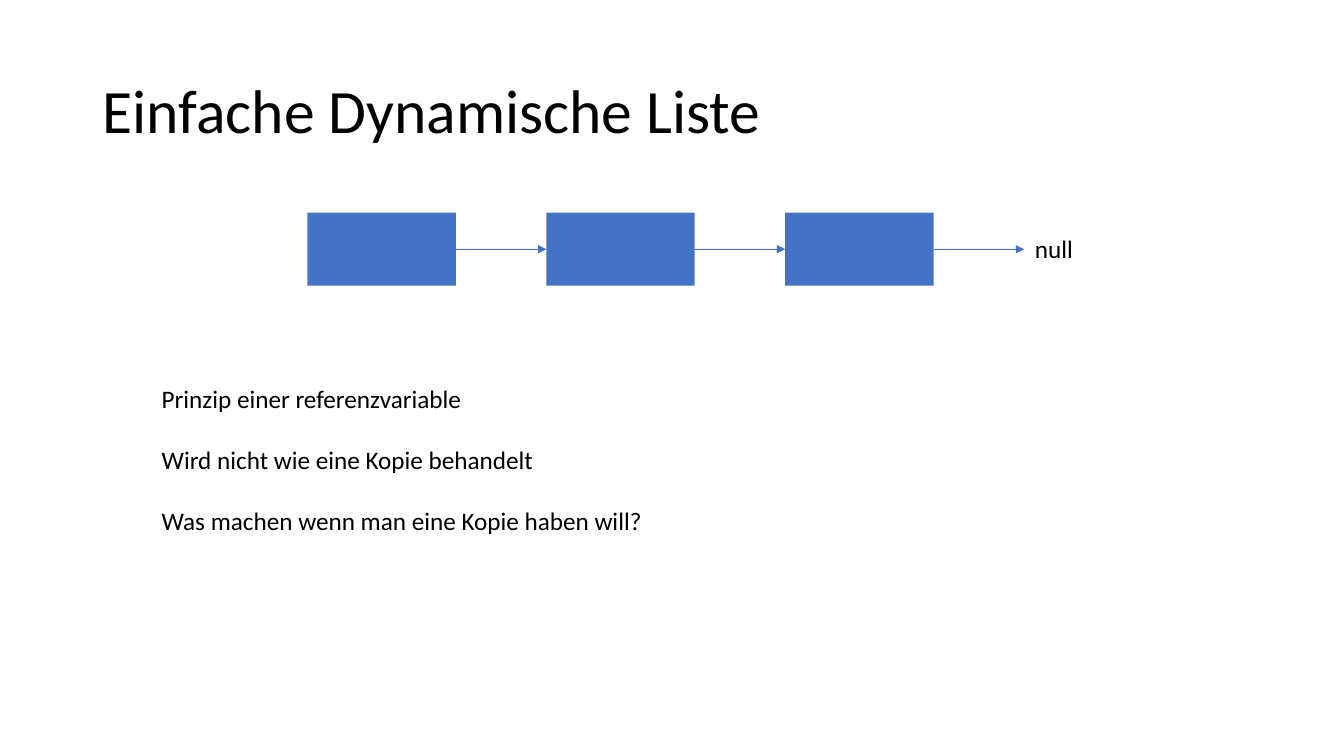
from lxml.etree import SubElement
from pptx import Presentation
from pptx.dml.color import RGBColor
from pptx.enum.shapes import MSO_CONNECTOR, MSO_SHAPE
from pptx.enum.text import MSO_ANCHOR, MSO_AUTO_SIZE, PP_ALIGN
from pptx.oxml.ns import qn
from pptx.util import Cm, Pt

BLUE = RGBColor(0x44, 0x72, 0xC4)
BLACK = RGBColor(0, 0, 0)
RIGHT_SITE, LEFT_SITE = 3, 1


class ListSlide:
    font_name = "Calibri"

    def __init__(self, slide):
        self.slide = slide

    def place(self, shape, left, top, width, height):
        shape.left, shape.top = Cm(left), Cm(top)
        shape.width, shape.height = Cm(width), Cm(height)

    def add_text(self, paragraph, text, size):
        paragraph.alignment = PP_ALIGN.LEFT
        run = paragraph.add_run()
        run.text = text
        run.font.name = self.font_name
        run.font.size = Pt(size)
        run.font.color.rgb = BLACK

    def title(self, text, *box):
        heading = self.slide.shapes.title
        self.place(heading, *box)
        frame = heading.text_frame
        frame.auto_size = MSO_AUTO_SIZE.NONE
        frame.vertical_anchor = MSO_ANCHOR.MIDDLE
        frame.paragraphs[0].line_spacing = 0.9
        self.add_text(frame.paragraphs[0], text, 44)

    def statements(self, lines, gap, *box):
        body = self.slide.placeholders[1]
        self.place(body, *box)
        frame = body.text_frame
        frame.auto_size = MSO_AUTO_SIZE.NONE
        frame.word_wrap = False
        for index, line in enumerate(lines):
            paragraph = frame.add_paragraph() if index else frame.paragraphs[0]
            paragraph.space_before = Pt(gap if index else 0)
            self.add_text(paragraph, line, 18)
            properties = paragraph._p.get_or_add_pPr()
            properties.set("marL", "0")
            properties.set("indent", "0")
            SubElement(properties, qn("a:buNone"))

    def label(self, text, *box):
        frame = self.slide.shapes.add_textbox(*map(Cm, box)).text_frame
        frame.word_wrap = False
        self.add_text(frame.paragraphs[0], text, 18)

    def node(self, *box):
        element = self.slide.shapes.add_shape(MSO_SHAPE.RECTANGLE, *map(Cm, box))
        element.shadow.inherit = False
        element.fill.solid()
        element.fill.fore_color.rgb = BLUE
        element.line.fill.background()
        return element

    def arrow(self, source, end_x, y, target=None):
        link = self.slide.shapes.add_connector(
            MSO_CONNECTOR.STRAIGHT, Cm(end_x), Cm(y), Cm(end_x), Cm(y))
        link.begin_connect(source, RIGHT_SITE)
        if target is not None:
            link.end_connect(target, LEFT_SITE)
        link.line.color.rgb = BLUE
        link.line.width = Pt(0.5)
        SubElement(link.line._get_or_add_ln(), qn("a:tailEnd"), type="triangle")
        SubElement(link._element.spPr, qn("a:effectLst"))


presentation = Presentation()
presentation.slide_width, presentation.slide_height = Cm(33.87), Cm(19.05)
page = ListSlide(presentation.slides.add_slide(presentation.slide_layouts[1]))

# Title
page.title("Einfache Dynamische Liste", 2.33, 1.01, 29.21, 3.68)

# Linked list nodes
first_left, node_top, node_width, node_height, pitch = 7.75, 5.36, 3.74, 1.84, 6.02
node_lefts = [first_left + index * pitch for index in range(3)]
nodes = [page.node(left, node_top, node_width, node_height) for left in node_lefts]

# Arrows to each next node, the last one to null
middle = node_top + node_height / 2
for node, left, successor in zip(nodes, node_lefts, nodes[1:] + [None]):
    page.arrow(node, left + pitch, middle, successor)
page.label("null", first_left + 3 * pitch + 0.02, 5.75, 1.48, 1.03)

# Statements
page.statements(
    ["Prinzip einer referenzvariable",
     "Wird nicht wie eine Kopie behandelt",
     "Was machen wenn man eine Kopie haben will?"],
    22, 3.82, 9.53, 12.78, 4.11)

presentation.save("out.pptx")
